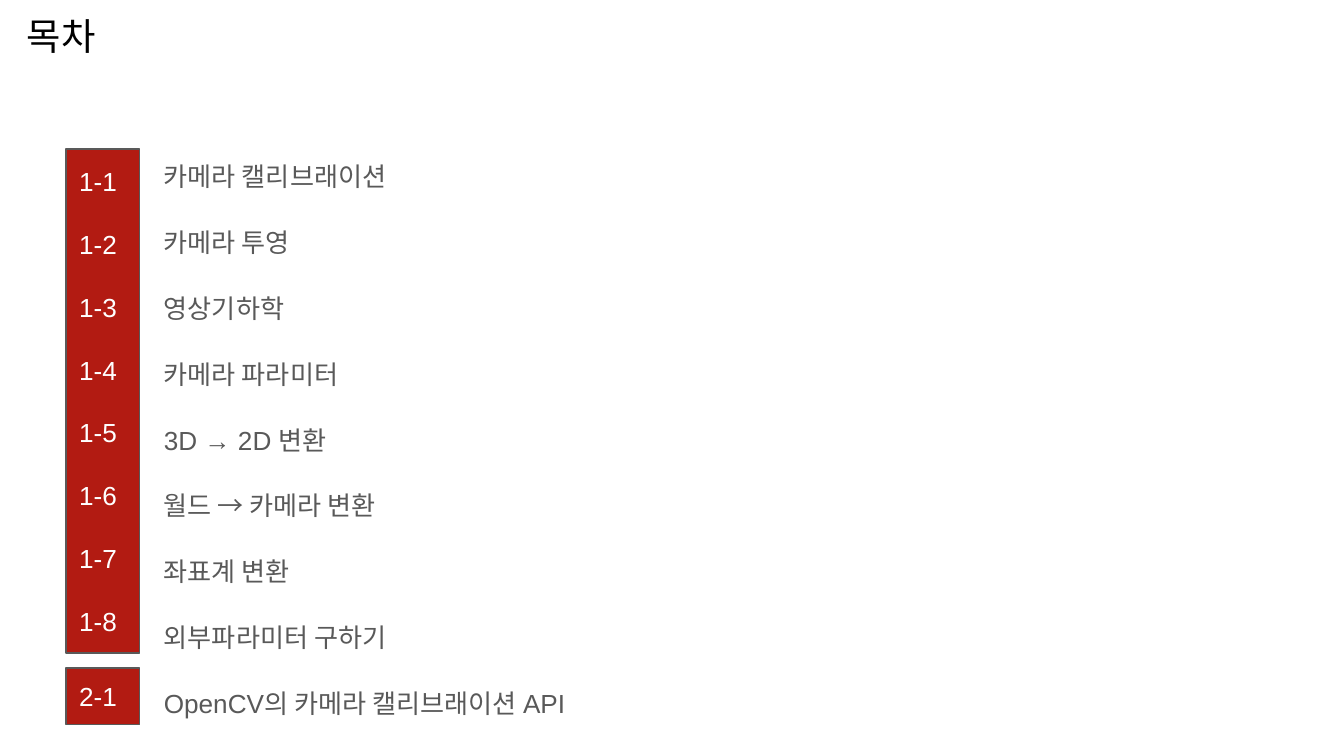
from pptx import Presentation
from pptx.dml.color import RGBColor
from pptx.enum.shapes import MSO_SHAPE
from pptx.enum.text import MSO_ANCHOR, PP_ALIGN
from pptx.util import Inches, Pt

BLACK = RGBColor(0x00, 0x00, 0x00)
WHITE = RGBColor(0xFF, 0xFF, 0xFF)
GRAY = RGBColor(0x59, 0x59, 0x59)
RED = RGBColor(0xB2, 0x1B, 0x12)

TOPICS = [
    "카메라 캘리브래이션",
    "카메라 투영",
    "영상기하학",
    "카메라 파라미터",
    "3D → 2D 변환",
    "월드 → 카메라 변환",
    "좌표계 변환",
    "외부파라미터 구하기",
    "OpenCV의 카메라 캘리브래이션 API",
]
PART_ONE = [f"1-{number}" for number in range(1, 9)]
PART_TWO = ["2-1"]


def write_lines(shape, lines, size, color, anchor=MSO_ANCHOR.TOP, gap=0, line_spacing=1.0):
    """Write one paragraph per line, with gap points between them."""
    frame = shape.text_frame
    frame_format = {"word_wrap": True, "vertical_anchor": anchor}
    for side in ("left", "top", "right", "bottom"):
        frame_format[f"margin_{side}"] = Inches(0.1)
    for name, value in frame_format.items():
        setattr(frame, name, value)

    font_format = {"name": "Arial", "size": Pt(size)}
    for index, line in enumerate(lines):
        paragraph = frame.add_paragraph() if index else frame.paragraphs[0]
        paragraph.alignment = PP_ALIGN.LEFT
        paragraph.line_spacing = line_spacing
        if index:
            paragraph.space_before = Pt(gap)
        run = paragraph.add_run()
        run.text = line
        for name, value in font_format.items():
            setattr(run.font, name, value)
        run.font.color.rgb = color


def add_text(slide, box, lines, size, color, **layout):
    shape = slide.shapes.add_textbox(*map(Inches, box))
    write_lines(shape, lines, size, color, **layout)


def add_number_block(slide, box, numbers):
    shape = slide.shapes.add_shape(MSO_SHAPE.RECTANGLE, *map(Inches, box))
    shape.shadow.inherit = False
    shape.fill.solid()
    shape.fill.fore_color.rgb = RED
    shape.line.color.rgb = GRAY
    shape.line.width = Pt(0.75)
    write_lines(shape, numbers, 14, WHITE, anchor=MSO_ANCHOR.MIDDLE, gap=16.8)


def add_contents(slide, left, top):
    """Place the numbered blocks and the topics beside them."""
    add_text(slide, (left + 0.63, top - 0.05, 3.71, 4.36), TOPICS, 14, GRAY,
             gap=16, line_spacing=1.15)
    add_number_block(slide, (left, top, 0.55, 3.75), PART_ONE)
    add_number_block(slide, (left, top + 3.86, 0.55, 0.42), PART_TWO)


def main():
    presentation = Presentation()
    presentation.slide_width = Inches(10)
    presentation.slide_height = presentation.slide_width * 9 // 16
    slide = presentation.slides.add_slide(presentation.slide_layouts[6])
    add_text(slide, (0.1, 0, 8.41, 0.42), ["목차"], 20, BLACK)
    add_contents(slide, 0.49, 1.11)
    presentation.save("out.pptx")


if __name__ == "__main__":
    main()
